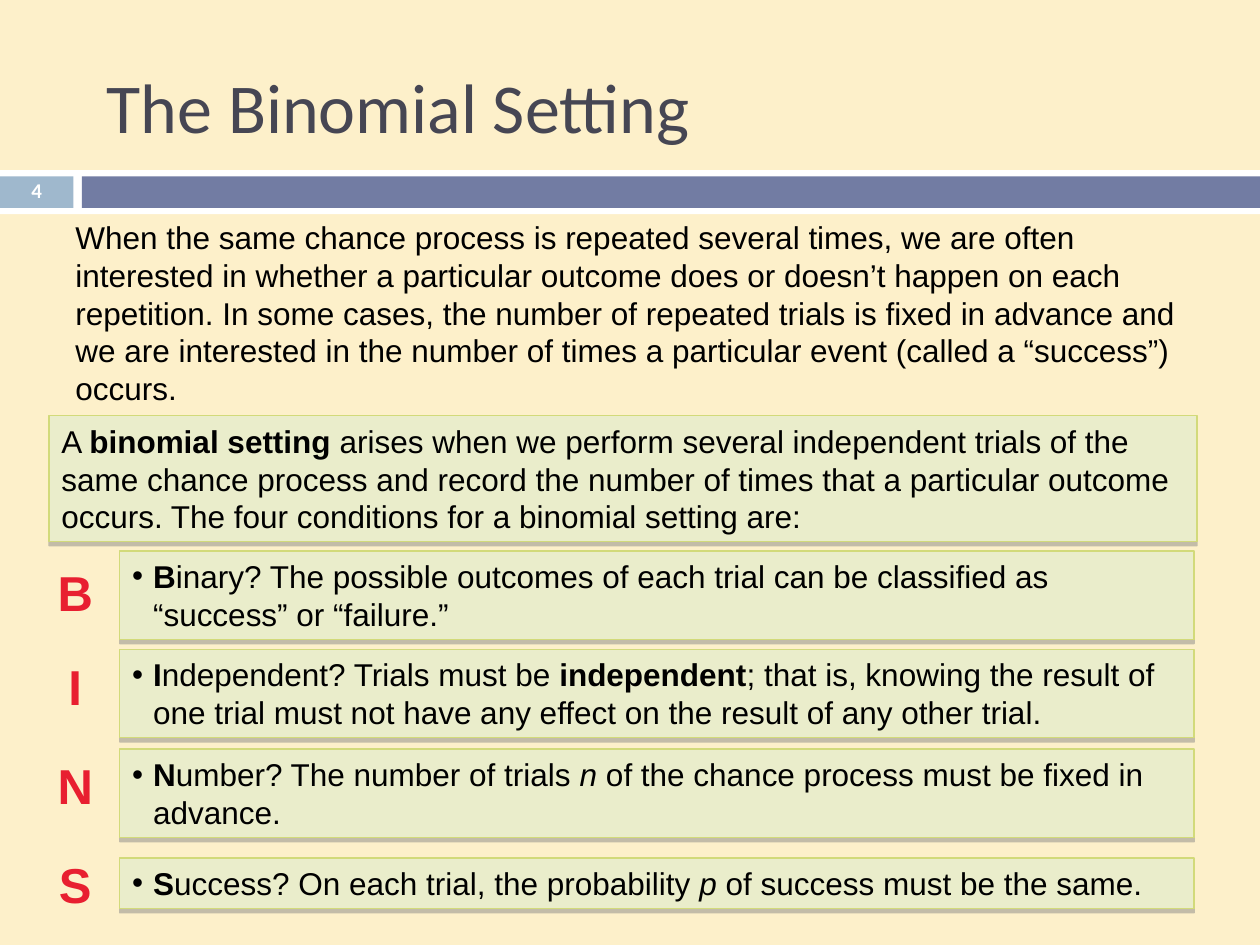
"""Build the slide on the binomial setting."""
from lxml import etree
from pptx import Presentation
from pptx.dml.color import RGBColor
from pptx.enum.shapes import MSO_SHAPE
from pptx.enum.text import MSO_ANCHOR, PP_ALIGN
from pptx.oxml.ns import qn
from pptx.util import Pt

RECT = MSO_SHAPE.RECTANGLE
TOP, MIDDLE = MSO_ANCHOR.TOP, MSO_ANCHOR.MIDDLE
LEFT, CENTER = PP_ALIGN.LEFT, PP_ALIGN.CENTER


def rgb(value):
    return RGBColor.from_string(value)


def add_text(tf, runs, size, color="000000", font="Arial", anchor=TOP, align=LEFT):
    tf.word_wrap = True
    tf.vertical_anchor = anchor
    p = tf.paragraphs[0]
    p.alignment = align
    for text, style in runs:
        r = p.add_run()
        r.text = text
        r.font.name = font
        r.font.size = Pt(size)
        r.font.color.rgb = rgb(color)
        r.font.bold = style == "b"
        r.font.italic = style == "i"
    return p


prs = Presentation()
prs.slide_width, prs.slide_height = Pt(720), Pt(540)
s = prs.slides.add_slide(prs.slide_layouts[6])
s.background.fill.solid()
s.background.fill.fore_color.rgb = rgb("FDF0CA")

bands = [
    (0, 97.2, 720, 25.2, "FFFFFF"),
    (0, 100.8, 42, 18, "9FB8CD"),
    (46.8, 100.8, 673.2, 18, "727CA3"),
]
for x, y, w, h, color in bands:
    sp = s.shapes.add_shape(RECT, Pt(x), Pt(y), Pt(w), Pt(h))
    sp.shadow.inherit = False
    sp.fill.solid()
    sp.fill.fore_color.rgb = rgb(color)
    sp.line.fill.background()

title = s.shapes.add_textbox(Pt(54), Pt(12.5), Pt(612), Pt(95.5))
add_text(title.text_frame, [("The Binomial Setting", "")], 40, "464653", "Calibri", MIDDLE)

number = s.shapes.add_textbox(Pt(0), Pt(100), Pt(42), Pt(19.5))
p = add_text(number.text_frame, [("4", "b")], 12, "FFFFFF", "Calibri", MIDDLE, CENTER)
p.line_spacing = 0.8

intro = s.shapes.add_textbox(Pt(36), Pt(121), Pt(662.4), Pt(77))
add_text(intro.text_frame, [(
    "When the same chance process is repeated several times, we are often interested in "
    "whether a particular outcome does or doesn’t happen on each repetition. In some cases, "
    "the number of repeated trials is fixed in advance and we are interested in the number "
    "of times a particular event (called a “success”) occurs.", "")], 18)

definition = [
    ("A ", ""),
    ("binomial setting ", "b"),
    ("arises when we perform several independent trials of the same chance process and "
     "record the number of times that a particular outcome occurs. The four conditions "
     "for a binomial setting are:", ""),
]
binary = [
    ("B", "b"),
    ("inary? The possible outcomes of each trial can be classified as “success” or “failure.”", ""),
]
independent = [
    ("I", "b"),
    ("ndependent? Trials must be ", ""),
    ("independent", "b"),
    ("; that is, knowing the result of one trial must not have any effect on the result of "
     "any other trial.", ""),
]
fixed_number = [
    ("N", "b"),
    ("umber? The number of trials ", ""),
    ("n ", "i"),
    ("of the chance process must be fixed in advance.", ""),
]
success = [
    ("S", "b"),
    ("uccess? On each trial, the probability ", ""),
    ("p ", "i"),
    ("of success must be the same.", ""),
]
panels = [
    (28, 237.5, 656, 72, definition, None),
    (68.4, 314.8, 614, 50.6, binary, 318),
    (68.4, 371, 614, 50.6, independent, 371.5),
    (68.4, 428, 614, 50.6, fixed_number, 428),
    (68.4, 490.2, 614, 29, success, 484.5),
]
for x, y, w, h, runs, letter_top in panels:
    sp = s.shapes.add_shape(RECT, Pt(x), Pt(y), Pt(w), Pt(h))
    sp.fill.solid()
    sp.fill.fore_color.rgb = rgb("EAEDCB")
    sp.line.color.rgb = rgb("D2DA7A")
    sp.line.width = Pt(0.79)
    sp.shadow.inherit = False
    effects = sp._element.spPr.find(qn("a:effectLst"))
    shadow = etree.SubElement(effects, qn("a:outerShdw"), blurRad="0", dist=str(Pt(2.4)),
                              dir="5400000", algn="ctr", rotWithShape="0")
    tint = etree.SubElement(shadow, qn("a:srgbClr"), val="808080")
    etree.SubElement(tint, qn("a:alpha"), val="45000")
    p = add_text(sp.text_frame, runs, 18)
    if letter_top is None:
        continue

    pPr = p._p.get_or_add_pPr()
    pPr.set("marL", str(Pt(12)))
    pPr.set("indent", str(-Pt(12)))
    etree.SubElement(pPr, qn("a:buFont"), typeface="Arial")
    etree.SubElement(pPr, qn("a:buChar"), char="•")

    letter = s.shapes.add_textbox(Pt(25), Pt(letter_top), Pt(36), Pt(41))
    add_text(letter.text_frame, runs[:1], 28, "E81F30", align=CENTER)

prs.save("out.pptx")
